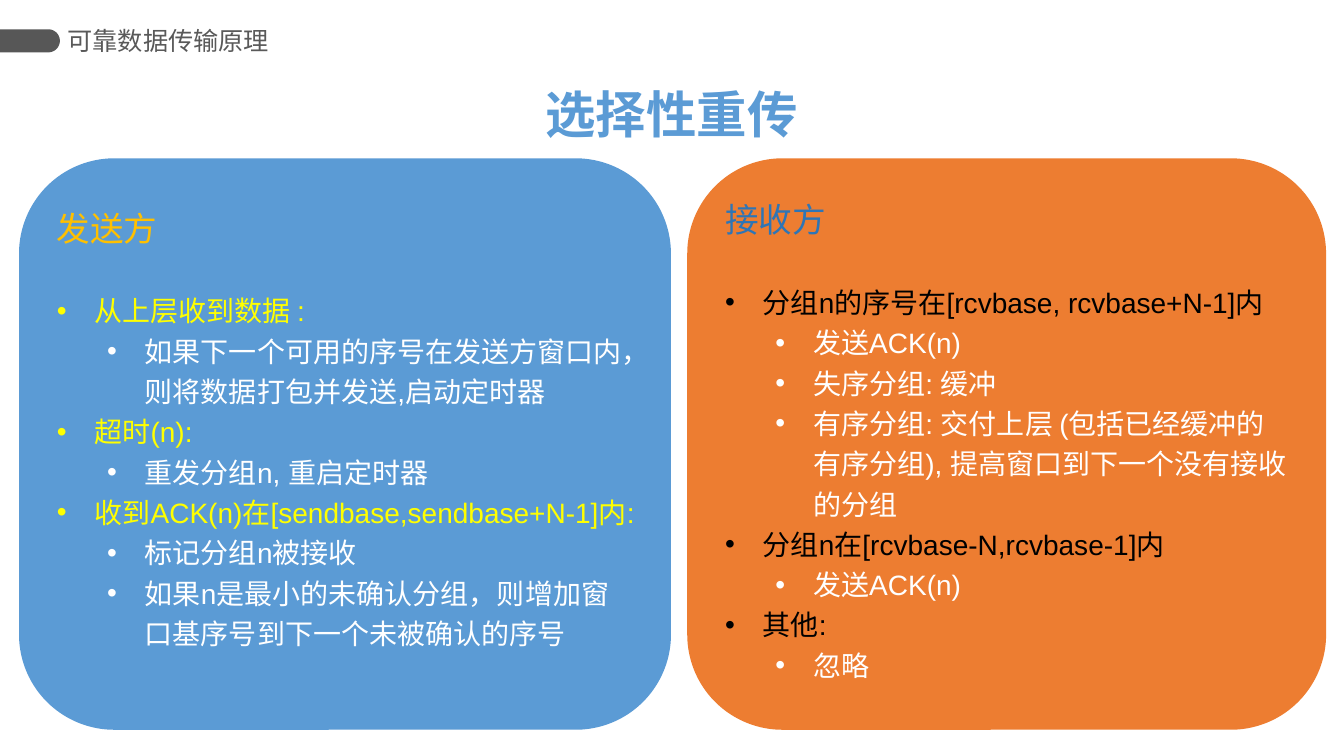
from math import cos, pi, sin

from lxml import etree
from pptx import Presentation
from pptx.dml.color import RGBColor
from pptx.enum.shapes import MSO_SHAPE
from pptx.enum.text import MSO_ANCHOR, PP_ALIGN
from pptx.oxml.ns import qn
from pptx.util import Cm, Pt

ROUND = MSO_SHAPE.ROUNDED_RECTANGLE
TOP, MID = MSO_ANCHOR.TOP, MSO_ANCHOR.MIDDLE
LEFT, CENTER = PP_ALIGN.LEFT, PP_ALIGN.CENTER

TOPIC = "可靠数据传输原理"
TITLE = "选择性重传"
PANELS = [
    {
        "left": 0.48, "width": 16.43, "anchor": MID, "foot": 1.1,
        "fill": "blue", "head": ("发送方", "gold"), "main": "yellow",
        "items": [
            (0, "从上层收到数据 :"),
            (1, "如果下一个可用的序号在发送方窗口内，则将数据打包并发送,启动定时器"),
            (0, "超时(n):"),
            (1, "重发分组n, 重启定时器"),
            (0, "收到ACK(n)在[sendbase,sendbase+N-1]内:"),
            (1, "标记分组n被接收"),
            (1, "如果n是最小的未确认分组，则增加窗口基序号到下一个未被确认的序号"),
        ],
    },
    {
        "left": 17.32, "width": 16.1, "anchor": TOP, "foot": 0.13,
        "fill": "orange", "head": ("接收方", "navy"), "main": "black",
        "items": [
            (0, "分组n的序号在[rcvbase, rcvbase+N-1]内"),
            (1, "发送ACK(n)"),
            (1, "失序分组: 缓冲"),
            (1, "有序分组: 交付上层 (包括已经缓冲的有序分组), 提高窗口到下一个没有接收的分组"),
            (0, "分组n在[rcvbase-N,rcvbase-1]内"),
            (1, "发送ACK(n)"),
            (0, "其他:"),
            (1, "忽略"),
        ],
    },
]
THEME = {
    "font": "Arial", "asian": "Noto Sans CJK SC",
    "blue": "5B9BD5", "orange": "ED7D31", "gold": "FFC000",
    "yellow": "FFFF00", "navy": "2E75B6", "black": "000000",
    "white": "FFFFFF", "gray": "595959", "dark": "575757",
    "title": 36, "head": 24, "body": 20, "topic": 18,
}


def color(name):
    return RGBColor.from_string(THEME[name])


def apply(thing, values):
    for name, value in values.items():
        setattr(thing, name, value)


def paint(shape, name):
    shape.shadow.inherit = False
    shape.fill.solid()
    shape.fill.fore_color.rgb = color(name)
    shape.line.fill.background()


def write(para, text, size, tint, bold=False, **form):
    apply(para, form)
    run = para.add_run()
    run.text = text
    apply(run.font, {"name": THEME["font"], "size": Pt(THEME[size]), "bold": bold})
    run.font.color.rgb = color(tint)
    asian = etree.SubElement(run.font._element, qn("a:ea"))
    asian.set("typeface", THEME["asian"])


def bullet(para, level):
    props = para._p.get_or_add_pPr()
    props.set("marL", str(Cm(0.95 + 1.27 * level)))
    props.set("indent", str(-Cm(0.95)))
    etree.SubElement(props, qn("a:buFont")).set("typeface", THEME["font"])
    etree.SubElement(props, qn("a:buChar")).set("char", "•")


def label(slide, box, text, frame, **form):
    area = slide.shapes.add_textbox(*map(Cm, box)).text_frame
    apply(area, frame)
    write(area.paragraphs[0], text, **form)


def marker(slide):
    top, radius, edge, steps = 0.74, 0.29, 1.22, 24
    arc = [
        (Cm(edge + radius * cos(a)), Cm(top + radius + radius * sin(a)))
        for a in (pi * i / steps - pi / 2 for i in range(steps + 1))
    ]
    pen = slide.shapes.build_freeform(0, Cm(top))
    pen.add_line_segments(arc + [(0, Cm(top + 2 * radius))], close=True)
    paint(pen.convert_to_shape(), "dark")


def panel(slide, data):
    box = (data["left"], 3.99, data["width"], 14.4)
    shape = slide.shapes.add_shape(ROUND, *map(Cm, box))
    paint(shape, data["fill"])
    area = shape.text_frame
    apply(area, {"word_wrap": True, "vertical_anchor": data["anchor"],
                 "margin_bottom": Cm(data["foot"])})
    text, tint = data["head"]
    write(area.paragraphs[0], text, "head", tint, alignment=LEFT,
          line_spacing=1.2, space_after=Pt(28))
    for level, text in data["items"]:
        para = area.add_paragraph()
        apply(para, {"level": level, "alignment": LEFT, "line_spacing": 1.2})
        bullet(para, level)
        write(para, text, "body", "white" if level else data["main"])


def main():
    deck = Presentation()
    apply(deck, {"slide_width": Cm(33.87), "slide_height": Cm(19.05)})
    slide = deck.slides.add_slide(deck.slide_layouts[6])
    marker(slide)
    for data in PANELS:
        panel(slide, data)
    label(slide, (1.7, 0.48, 5.92, 1.07), TOPIC,
          {"word_wrap": True, "vertical_anchor": MID, "margin_left": 0, "margin_right": 0},
          size="topic", tint="gray")
    label(slide, (13.46, 1.98, 6.93, 1.8), TITLE, {"word_wrap": False},
          size="title", tint="blue", bold=True, alignment=CENTER)
    deck.save("out.pptx")


if __name__ == "__main__":
    main()
